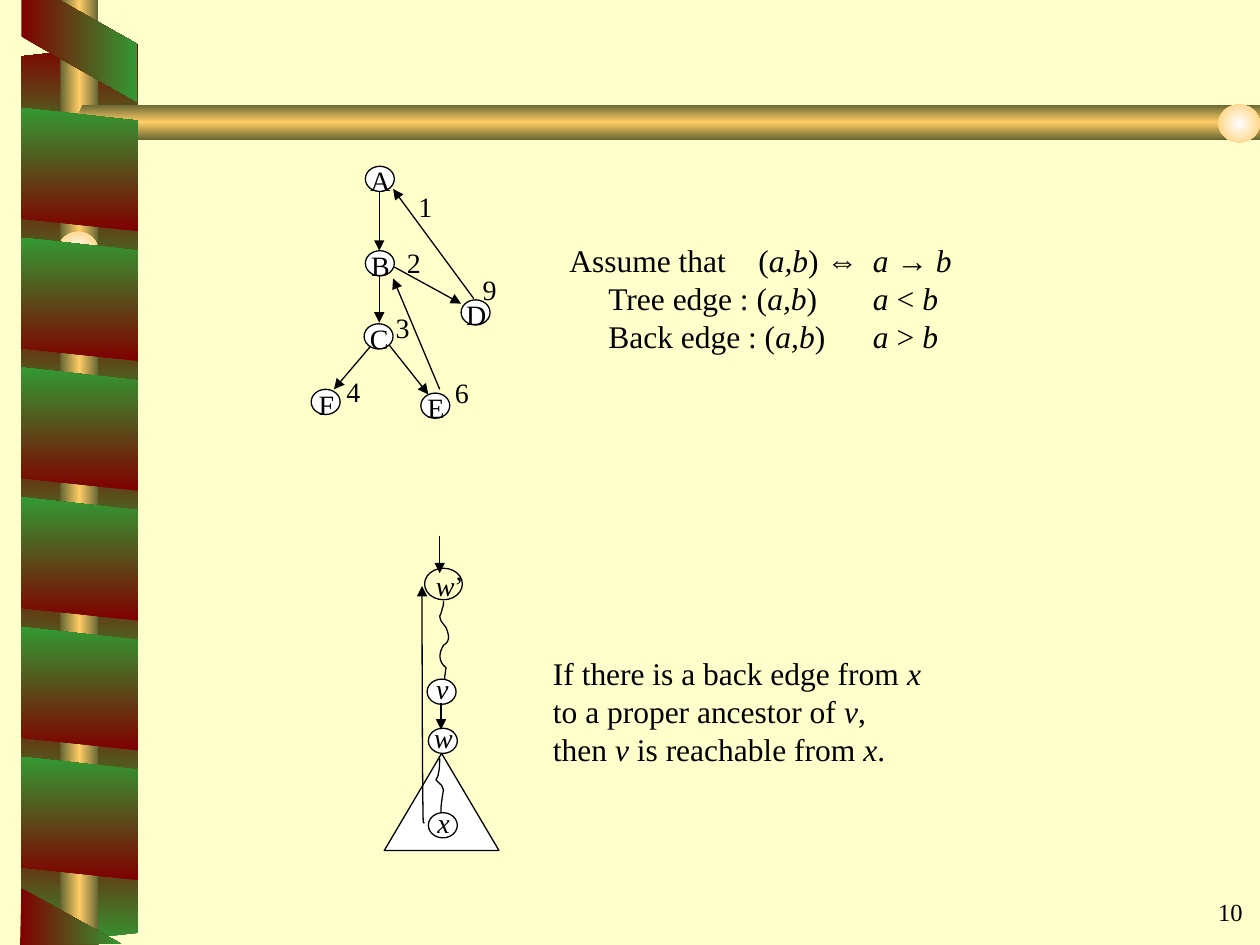
"""Build a slide on tree edges and back edges in a depth-first search."""
from dataclasses import dataclass

import lxml.etree
import pptx
import pptx.dml.color
import pptx.enum.shapes
import pptx.enum.text
import pptx.oxml
import pptx.oxml.ns
import pptx.util

SHAPES = pptx.enum.shapes.MSO_SHAPE
CONNECTORS = pptx.enum.shapes.MSO_CONNECTOR
ALIGN = pptx.enum.text.PP_ALIGN
FONT = {"name": "Times New Roman"}
FRAME = {"auto_size": pptx.enum.text.MSO_AUTO_SIZE.NONE}
BLACK, WHITE = "000000", "FFFFFF"
GREEN, RED = "339933", "800000"
ROD = [(0, "666633"), (50, "FFCC66"), (100, "666633")]
KNOB = [(0, "FEFFFF"), (100, "FFCC66")]
BAND_PITCH = 1.03


@dataclass
class Node:
    text: str
    left: float
    top: float
    italic: bool = False


@dataclass
class Arrow:
    start: tuple[float, float]
    end: tuple[float, float]


@dataclass
class Line:
    text: str
    tabs: tuple[float, ...] = ()


def length(inches: float) -> int:
    return pptx.util.Cm(inches * 2.54)


def color(value: str) -> pptx.dml.color.RGBColor:
    return pptx.dml.color.RGBColor.from_string(value)


def apply(target, values: dict) -> None:
    for name, value in values.items():
        setattr(target, name, value)


def add_child(parent, tag: str, **attributes: str):
    return lxml.etree.SubElement(parent, pptx.oxml.ns.qn(tag), attributes)


def fill_gradient(shape, stops: list, angle: int | None = 0) -> None:
    shape.fill.background()
    properties = shape._element.spPr
    empty = properties.find(pptx.oxml.ns.qn("a:noFill"))
    gradient = pptx.oxml.parse_xml(
        f'<a:gradFill {pptx.oxml.ns.nsdecls("a")} rotWithShape="1"/>')
    stop_list = add_child(gradient, "a:gsLst")
    for position, value in stops:
        stop = add_child(stop_list, "a:gs", pos=str(position * 1000))
        add_child(stop, "a:srgbClr", val=value)
    if angle is None:
        circle = add_child(gradient, "a:path", path="circle")
        add_child(circle, "a:fillToRect", l="50000", t="50000", r="50000", b="50000")
    else:
        add_child(gradient, "a:lin", ang=str(angle * 60000), scaled="0")
    properties.replace(empty, gradient)


def set_line(shape, visible: bool) -> None:
    shape.shadow.inherit = False
    if visible:
        shape.line.color.rgb = color(BLACK)
        shape.line.width = pptx.util.Pt(0.75)
    else:
        shape.line.fill.background()


def add_ornament(slide, kind, box: tuple, stops: list, angle: int | None = 0,
                 adjustment: float | None = None, rotation: int = 0, flip: bool = False):
    shape = slide.shapes.add_shape(kind, *map(length, box))
    if adjustment is not None:
        shape.adjustments[0] = adjustment
    shape.rotation = rotation
    if flip:
        shape._element.spPr.xfrm.set("flipH", "1")
    fill_gradient(shape, stops, angle)
    set_line(shape, False)


def add_outline(slide, kind, box: tuple, fill: str | None = WHITE) -> None:
    shape = slide.shapes.add_shape(kind, *map(length, box))
    if fill:
        shape.fill.solid()
        shape.fill.fore_color.rgb = color(fill)
    else:
        shape.fill.background()
    set_line(shape, True)


def add_freeform(slide, points: list, closed: bool):
    first, *rest = [tuple(map(length, point)) for point in points]
    builder = slide.shapes.build_freeform(*first)
    builder.add_line_segments(rest, close=closed)
    return builder.convert_to_shape()


def add_squiggle(slide, start: tuple, curves: list) -> None:
    points = [start]
    for controls in curves:
        corners = [points[-1], *controls]
        for step in range(1, 9):
            t = step / 8
            weights = ((1 - t) ** 3, 3 * t * (1 - t) ** 2, 3 * t * t * (1 - t), t ** 3)
            points.append(tuple(sum(w * corner[axis] for w, corner in zip(weights, corners))
                                for axis in (0, 1)))
    shape = add_freeform(slide, points, False)
    shape.fill.background()
    set_line(shape, True)


def add_text(slide, box: tuple, lines: list[Line], size: int, anchor: str = "MIDDLE",
             align=ALIGN.LEFT, wrap: bool = True) -> None:
    """Add a text box whose underscores switch italics on and off."""
    frame = slide.shapes.add_textbox(*map(length, box)).text_frame
    apply(frame, FRAME | {"word_wrap": wrap,
                          "vertical_anchor": pptx.enum.text.MSO_ANCHOR[anchor]})
    for index, line in enumerate(lines):
        paragraph = frame.add_paragraph() if index else frame.paragraphs[0]
        paragraph.alignment = align
        if line.tabs:
            tab_list = add_child(paragraph._p.get_or_add_pPr(), "a:tabLst")
            for tab in line.tabs:
                add_child(tab_list, "a:tab", pos=str(int(length(tab))), algn="l")
        for part, text in enumerate(line.text.split("_")):
            if text:
                run = paragraph.add_run()
                run.text = text
                apply(run.font, FONT | {"size": pptx.util.Pt(size), "italic": part % 2 == 1})
                run.font.color.rgb = color(BLACK)


def add_label(slide, text: str, left: float, top: float, width: float = 0.31) -> None:
    add_text(slide, (left, top, width, 0.37), [Line(text)], 16, align=ALIGN.CENTER, wrap=False)


def add_node(slide, node: Node) -> None:
    add_outline(slide, SHAPES.OVAL, (node.left, node.top, 0.23, 0.2))
    text = f"_{node.text}_" if node.italic else node.text
    rise = 0.11 if node.italic else 0.07
    add_label(slide, text, node.left - 0.04, node.top - rise, 0.32)


def add_arrow(slide, arrow: Arrow, kind=CONNECTORS.STRAIGHT):
    connector = slide.shapes.add_connector(kind, *map(length, arrow.start + arrow.end))
    connector.line.color.rgb = color(BLACK)
    connector.line.width = pptx.util.Pt(0.75)
    add_child(connector.line._get_or_add_ln(), "a:tailEnd", type="triangle")
    add_child(connector._element.spPr, "a:effectLst")
    return connector


def add_decoration(slide) -> None:
    for row in range(7):
        add_ornament(slide, SHAPES.PARALLELOGRAM, (0.14, 0.37 + BAND_PITCH * row, 0.98, 0.93),
                     [(0, GREEN), (100, RED)], adjustment=0.11, rotation=90, flip=True)
    add_ornament(slide, SHAPES.RECTANGLE, (0.48, 0, 0.3, 7.5), ROD)
    add_ornament(slide, SHAPES.PENTAGON, (0.6, 0.83, 9.4, 0.28), ROD, 90, 0.21, flip=True)
    add_ornament(slide, SHAPES.OVAL, (0.46, 1.84, 0.32, 0.3), KNOB, None)
    for row in range(6):
        add_ornament(slide, SHAPES.PARALLELOGRAM, (0.14, 0.88 + BAND_PITCH * row, 0.98, 0.93),
                     [(0, RED), (100, GREEN)], adjustment=0.11, rotation=270)
    for points in ([(0.17, 0), (0.17, 0.29), (1.09, 0.81), (1.09, 0.35), (0.47, 0)],
                   [(0.96, 7.49), (0.17, 7.05), (0.16, 7.5)]):
        band = add_freeform(slide, points, True)
        fill_gradient(band, [(0, RED), (100, GREEN)])
        set_line(band, False)
    add_ornament(slide, SHAPES.OVAL, (9.67, 0.83, 0.33, 0.3), KNOB, None)
    add_text(slide, (9.57, 7.07, 0.43, 0.33), [Line("10")], 14, "TOP", wrap=False)


def add_search_tree(slide) -> None:
    for node in (Node("B", 2.9, 1.99), Node("D", 3.66, 2.38), Node("E", 3.34, 3.12),
                 Node("A", 2.9, 1.32), Node("C", 2.89, 2.57), Node("F", 2.47, 3.09)):
        add_node(slide, node)
    for arrow in (Arrow((3.01, 1.52), (3.01, 1.99)), Arrow((3.01, 2.19), (3.01, 2.56)),
                  Arrow((2.94, 2.75), (2.65, 3.09)), Arrow((3.09, 2.74), (3.4, 3.13)),
                  Arrow((3.13, 2.12), (3.66, 2.41)), Arrow((3.76, 2.37), (3.12, 1.5)),
                  Arrow((3.49, 3.09), (3.12, 2.21))):
        add_arrow(slide, arrow)
    for number, left, top in (("1", 3.22, 1.45), ("2", 3.13, 1.9), ("3", 3.04, 2.41),
                              ("4", 2.65, 2.92), ("6", 3.51, 2.93), ("9", 3.73, 2.11)):
        add_label(slide, number, left, top)
    add_text(slide, (4.42, 1.86, 4.51, 1.01), [
        Line("Assume that\t(_a,b_) ⇔\t_a _→ _b", (1.5, 2.41)),
        Line("\tTree edge : (_a,b_)\t_a_ < _b", (0.31, 2.41)),
        Line("\tBack edge : (_a,b_)\t_a_ > _b", (0.31, 2.41))], 18)


def add_ancestor_path(slide) -> None:
    add_label(slide, "_w_’", 3.35, 4.46, 0.44)
    add_outline(slide, SHAPES.OVAL, (3.37, 4.51, 0.3, 0.25), None)
    add_arrow(slide, Arrow((3.49, 4.25), (3.49, 4.55)))
    add_outline(slide, SHAPES.ISOSCELES_TRIANGLE, (3.05, 5.98, 0.91, 0.77))
    back_edge = add_arrow(slide, Arrow((4.3, 5.58), (2.42, 5.6)), CONNECTORS.CURVE)
    properties = back_edge._element.spPr
    properties.xfrm.set("rot", str(90 * 60000))
    adjustments = properties.find(pptx.oxml.ns.qn("a:prstGeom")).get_or_add_avLst()
    add_child(adjustments, "a:gd", name="adj1", fmla="val 0")
    add_squiggle(slide, (3.52, 4.77), [
        ((3.52, 4.79), (3.52, 4.81), (3.51, 4.83)), ((3.51, 4.85), (3.49, 4.89), (3.49, 4.89)),
        ((3.5, 4.94), (3.51, 4.94), (3.54, 4.98)), ((3.56, 5.03), (3.58, 5.09), (3.52, 5.12)),
        ((3.48, 5.19), (3.48, 5.25), (3.54, 5.3)), ((3.53, 5.38), (3.53, 5.35), (3.53, 5.39))])
    for node in (Node("v", 3.39, 5.39, True), Node("w", 3.4, 5.78, True),
                 Node("x", 3.4, 6.45, True)):
        add_node(slide, node)
    add_squiggle(slide, (3.49, 6.02), [
        ((3.49, 6.06), (3.49, 6.1), (3.48, 6.14)), ((3.48, 6.16), (3.46, 6.19), (3.46, 6.19)),
        ((3.52, 6.25), (3.5, 6.22), (3.52, 6.27)), ((3.51, 6.33), (3.5, 6.39), (3.5, 6.45))])
    add_arrow(slide, Arrow((3.5, 5.58), (3.5, 5.79)))
    add_text(slide, (4.29, 5.14, 3.12, 1), [
        Line("If there is a back edge from _x"), Line("to a proper ancestor of _v_,"),
        Line("then _v_ is reachable from _x_.")], 18)


def main() -> None:
    presentation = pptx.Presentation()
    apply(presentation, {"slide_width": length(10), "slide_height": length(7.5)})
    slide = presentation.slides.add_slide(presentation.slide_layouts[6])
    slide.background.fill.solid()
    slide.background.fill.fore_color.rgb = color("FFFFCC")
    add_decoration(slide)
    add_search_tree(slide)
    add_ancestor_path(slide)
    presentation.save("out.pptx")


if __name__ == "__main__":
    main()
